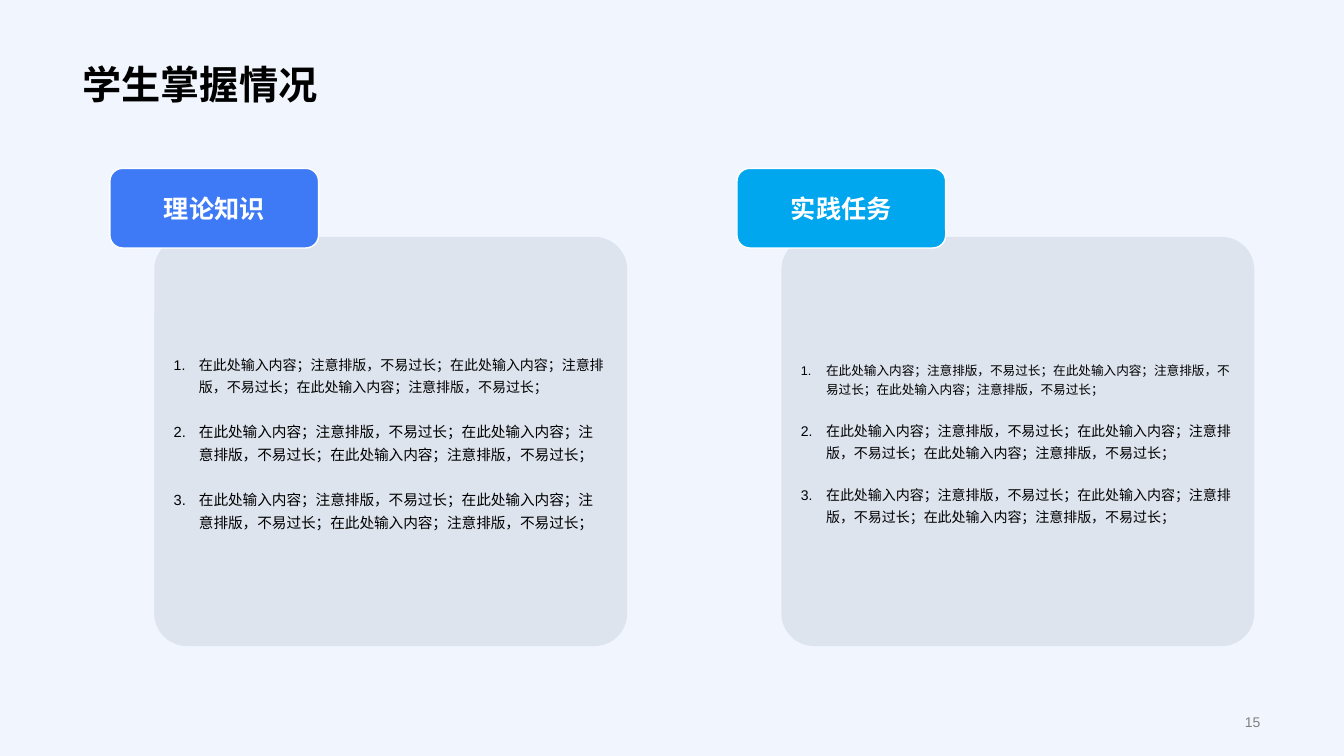
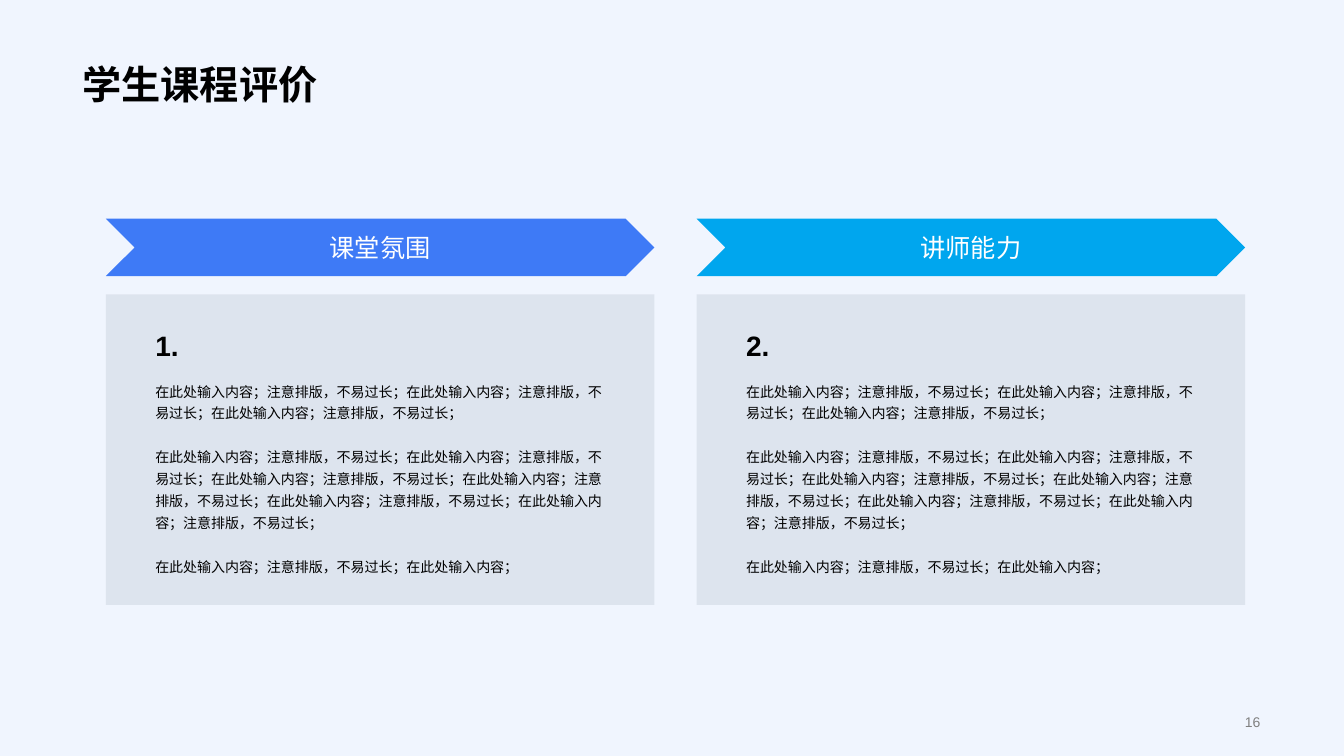
from lxml.etree import SubElement
from pptx import Presentation
from pptx.dml.color import RGBColor
from pptx.enum.lang import MSO_LANGUAGE_ID as LANG
from pptx.enum.shapes import MSO_SHAPE as SHAPE
from pptx.enum.text import MSO_ANCHOR as ANCHOR, PP_ALIGN as ALIGN
from pptx.oxml.ns import qn
from pptx.util import Inches, Pt

COLORS = {
    "background": "F0F5FE",
    "panel": "778495",
    "blue": "3E7AF6",
    "cyan": "00A6EE",
    "white": "FFFFFF",
    "black": "000000",
    "gray": "808080",
}
FONT = "Arial"
PANEL_ALPHA = 15
LINE_SPACING = 1.3

PHRASE = "在此处输入内容；注意排版，不易过长；"
ITEM = PHRASE * 3
COMMENTS = [PHRASE * 3, PHRASE * 6, PHRASE + "在此处输入内容；"]


def rgb(name):
    return RGBColor.from_string(COLORS[name])


def write(sp, lines, sizes, color="black", bold=False, align=ALIGN.LEFT,
          anchor=ANCHOR.MIDDLE, spacing=1.0, gap=0, inset=None):
    tf = sp.text_frame
    tf.word_wrap = True
    tf.vertical_anchor = anchor
    if inset is not None:
        tf.margin_left = tf.margin_right = Inches(inset)
        tf.margin_top = tf.margin_bottom = Inches(inset)
    tf.text = "\n".join(lines)
    for i, (p, size) in enumerate(zip(tf.paragraphs, sizes)):
        p.alignment = align
        p.line_spacing = spacing
        p.space_before = Pt(gap if i else 0)
        for r in p.runs:
            r.font.name = FONT
            r.font.size = Pt(size)
            r.font.bold = bold
            r.font.color.rgb = rgb(color)
            r.font.language_id = LANG.SIMPLIFIED_CHINESE
            ea = SubElement(r.font._element, qn("a:ea"))
            ea.set("typeface", FONT)


def add_text(shapes, box, lines, sizes, **style):
    sp = shapes.add_textbox(*map(Inches, box))
    write(sp, lines, sizes, **style)
    return sp


def add_box(shapes, kind, box, color, adj=None, alpha=None, outline=None):
    sp = shapes.add_shape(kind, *map(Inches, box))
    sp.shadow.inherit = False
    if adj is not None:
        sp.adjustments[0] = adj
    sp.fill.solid()
    sp.fill.fore_color.rgb = rgb(color)
    if alpha is not None:
        clr = sp._element.spPr.find(qn("a:solidFill"))[0]
        SubElement(clr, qn("a:alpha")).set("val", str(alpha * 1000))
    if outline:
        sp.line.color.rgb = rgb(outline)
        sp.line.width = Pt(1)
    else:
        sp.line.fill.background()
    return sp


def number_paragraphs(sp):
    for p in sp.text_frame.paragraphs:
        pPr = p._p.get_or_add_pPr()
        pPr.set("marL", str(Inches(0.25)))
        pPr.set("indent", str(-Inches(0.25)))
        SubElement(pPr, qn("a:buFont")).set("typeface", FONT)
        SubElement(pPr, qn("a:buAutoNum")).set("type", "arabicPeriod")


def add_slide(prs, title, number):
    s = prs.slides.add_slide(prs.slide_layouts[6])
    add_text(s.shapes, (0.72, 0, 11.88, 1.12), [title], [28], bold=True,
             anchor=ANCHOR.BOTTOM, spacing=0.9)
    add_text(s.shapes, (9.69, 7.04, 2.91, 0.24), [str(number)], [10],
             color="gray", align=ALIGN.RIGHT)
    return s


def add_list_card(s, left, label, color, sizes, gap):
    panel = add_box(s.shapes, SHAPE.ROUNDED_RECTANGLE,
                    (left + 0.44, 2.35, 4.69, 4.06), "panel",
                    adj=0.08, alpha=PANEL_ALPHA)
    write(panel, [ITEM] * len(sizes), sizes, spacing=LINE_SPACING, gap=gap)
    number_paragraphs(panel)
    tab = add_box(s.shapes, SHAPE.ROUNDED_RECTANGLE,
                  (left, 1.67, 2.07, 0.79), color, adj=0.16, outline="white")
    write(tab, [label], [18], color="white", bold=True, align=ALIGN.CENTER)


def add_comment_card(s, left, number, label, color):
    shapes = s.shapes.add_group_shape().shapes
    add_box(shapes, SHAPE.RECTANGLE, (left, 2.92, 5.44, 3.08), "panel",
            alpha=PANEL_ALPHA)
    text_left = left + 0.37
    add_text(shapes, (text_left, 3.13, 4.69, 0.58), [f"{number}."], [20],
             bold=True, anchor=ANCHOR.BOTTOM, inset=0.12)
    add_text(shapes, (text_left, 3.63, 4.69, 2.19), COMMENTS,
             [10] * len(COMMENTS), anchor=ANCHOR.TOP, inset=0.12,
             spacing=LINE_SPACING, gap=15.7)
    arrow = add_box(s.shapes, SHAPE.CHEVRON, (left, 2.17, 5.44, 0.57), color)
    write(arrow, [label], [18], color="white", align=ALIGN.CENTER)


def main():
    prs = Presentation()
    prs.slide_width, prs.slide_height = Inches(13.33), Inches(7.5)
    fill = prs.slide_master.background.fill
    fill.solid()
    fill.fore_color.rgb = rgb("background")

    s = add_slide(prs, "学生掌握情况", 15)
    add_list_card(s, 1.09, "理论知识", "blue", [10, 10.5, 10.5], 16)
    add_list_card(s, 7.31, "实践任务", "cyan", [9, 10, 10], 14.3)

    s = add_slide(prs, "学生课程评价", 16)
    cards = [("课堂氛围", "blue"), ("讲师能力", "cyan")]
    for i, (label, color) in enumerate(cards):
        add_comment_card(s, 1.05 + i * 5.86, i + 1, label, color)

    prs.save("out.pptx")


if __name__ == "__main__":
    main()
